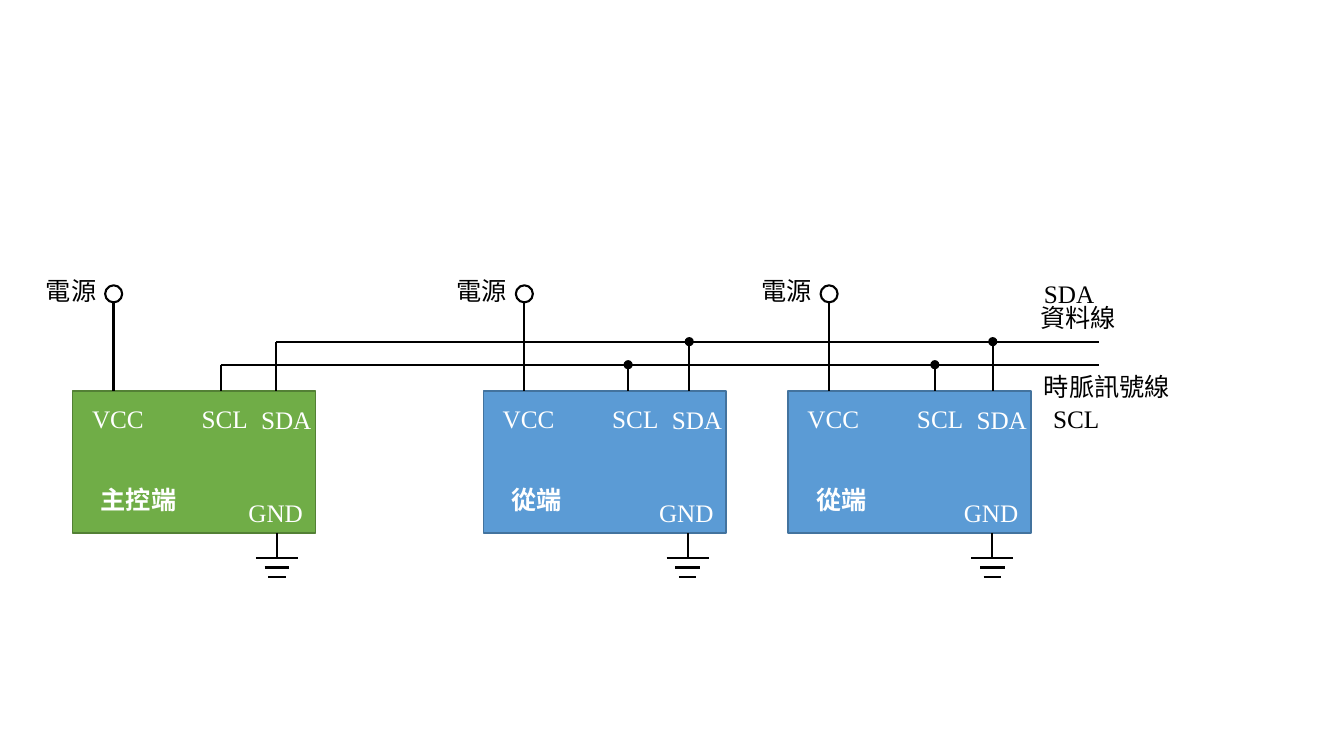
"""Draw an I2C bus wiring diagram with one master and two slaves."""
from lxml import etree
from pptx import Presentation
from pptx.dml.color import RGBColor
from pptx.enum import shapes, text
from pptx.oxml import ns
from pptx.util import Cm, Pt

BLACK = RGBColor(0, 0, 0)
WHITE = RGBColor(255, 255, 255)
GREEN = RGBColor(0x70, 0xAD, 0x47)
DARK_GREEN = RGBColor(0x53, 0x80, 0x35)
BLUE = RGBColor(0x5B, 0x9B, 0xD5)
DARK_BLUE = RGBColor(0x43, 0x73, 0x9E)
FONT = "Times New Roman"

CHIP_TOP, CHIP_W, CHIP_H = 9.85, 6.12, 3.58
CHIP_BOTTOM = CHIP_TOP + CHIP_H
BUS_END = 27.69
DOT = 0.23


def add_label(s, words, x, y, w=1.93, color=BLACK, bold=False):
    """Place one line of text."""
    tf = s.shapes.add_textbox(Cm(x), Cm(y), Cm(w), Cm(1.03)).text_frame
    tf.word_wrap = True
    tf.auto_size = text.MSO_AUTO_SIZE.SHAPE_TO_FIT_TEXT
    p = tf.paragraphs[0]
    p.text = words
    p.font.name = FONT
    p.font.size = Pt(18)
    p.font.bold = bold
    p.font.color.rgb = color


def add_wire(s, x1, y1, x2, y2):
    """Draw a straight black wire."""
    c = s.shapes.add_connector(shapes.MSO_CONNECTOR.STRAIGHT,
                               Cm(x1), Cm(y1), Cm(x2), Cm(y2))
    c.line.color.rgb = BLACK
    c.line.width = Pt(1.5)
    etree.SubElement(c._element.spPr, ns.qn("a:effectLst"))


def add_outline(s, kind, x, y, w, h, fill=None, line=None, width=1):
    """Add a preset shape with an optional fill and outline."""
    sp = s.shapes.add_shape(kind, Cm(x), Cm(y), Cm(w), Cm(h))
    sp.shadow.inherit = False
    if fill is None:
        sp.fill.background()
    else:
        sp.fill.solid()
        sp.fill.fore_color.rgb = fill
    if line is None:
        sp.line.fill.background()
    else:
        sp.line.color.rgb = line
        sp.line.width = Pt(width)


def add_ground(s, x):
    """Draw the ground symbol under a chip."""
    add_wire(s, x, CHIP_BOTTOM, x, 14.07)
    for y, half in ((14.07, 0.53), (14.3, 0.31), (14.55, 0.22)):
        add_wire(s, x - half, y, x + half, y)


def add_power(s, x):
    """Draw the supply terminal above a chip."""
    add_wire(s, x, 7.62, x, CHIP_TOP)
    add_outline(s, shapes.MSO_SHAPE.OVAL, x - 0.21, 7.19, 0.43, 0.43,
                line=BLACK, width=1.5)
    add_label(s, "電源", x - 1.95, 6.81, 1.83)


def add_chip(s, name, x, fill, line):
    """Draw a chip with its pins, supply and ground."""
    add_outline(s, shapes.MSO_SHAPE.RECTANGLE, x, CHIP_TOP, CHIP_W, CHIP_H,
                fill, line)
    for pin, dx, y in (("VCC", 0.24, 10.03), ("GND", 4.18, 12.4),
                       ("SCL", 3, 10.03), ("SDA", 4.5, 10.06)):
        add_label(s, pin, x + dx, y, color=WHITE)
    add_label(s, name, x + 0.46, 12.07, 2.5, WHITE, True)
    add_ground(s, x + 5.15)
    add_power(s, x + 1.03)


def add_bus(s, y, taps):
    """Draw a bus line with a drop to each chip and dots at the slaves."""
    add_wire(s, taps[0], y, BUS_END, y)
    for x in taps:
        add_wire(s, x, y, x, CHIP_TOP)
    for x in taps[1:]:
        add_outline(s, shapes.MSO_SHAPE.OVAL, x - DOT / 2, y - DOT / 2,
                    DOT, DOT, BLACK)


def main():
    """Build and save the slide."""
    prs = Presentation()
    prs.slide_width, prs.slide_height = Cm(33.87), Cm(19.05)
    s = prs.slides.add_slide(prs.slide_layouts[6])
    add_chip(s, "主控端", 1.83, GREEN, DARK_GREEN)
    for x in (12.18, 19.86):
        add_chip(s, "從端", x, BLUE, DARK_BLUE)
    add_bus(s, 9.19, (5.56, 15.83, 23.56))
    add_bus(s, 8.61, (6.96, 17.37, 25.02))
    add_label(s, "SDA", 26.06, 6.88)
    add_label(s, "資料線", 25.96, 7.49, 2.5)
    add_label(s, "時脈訊號線", 26.06, 9.22, 3.8)
    add_label(s, "SCL", 26.29, 10.03)
    prs.save("out.pptx")


if __name__ == "__main__":
    main()
